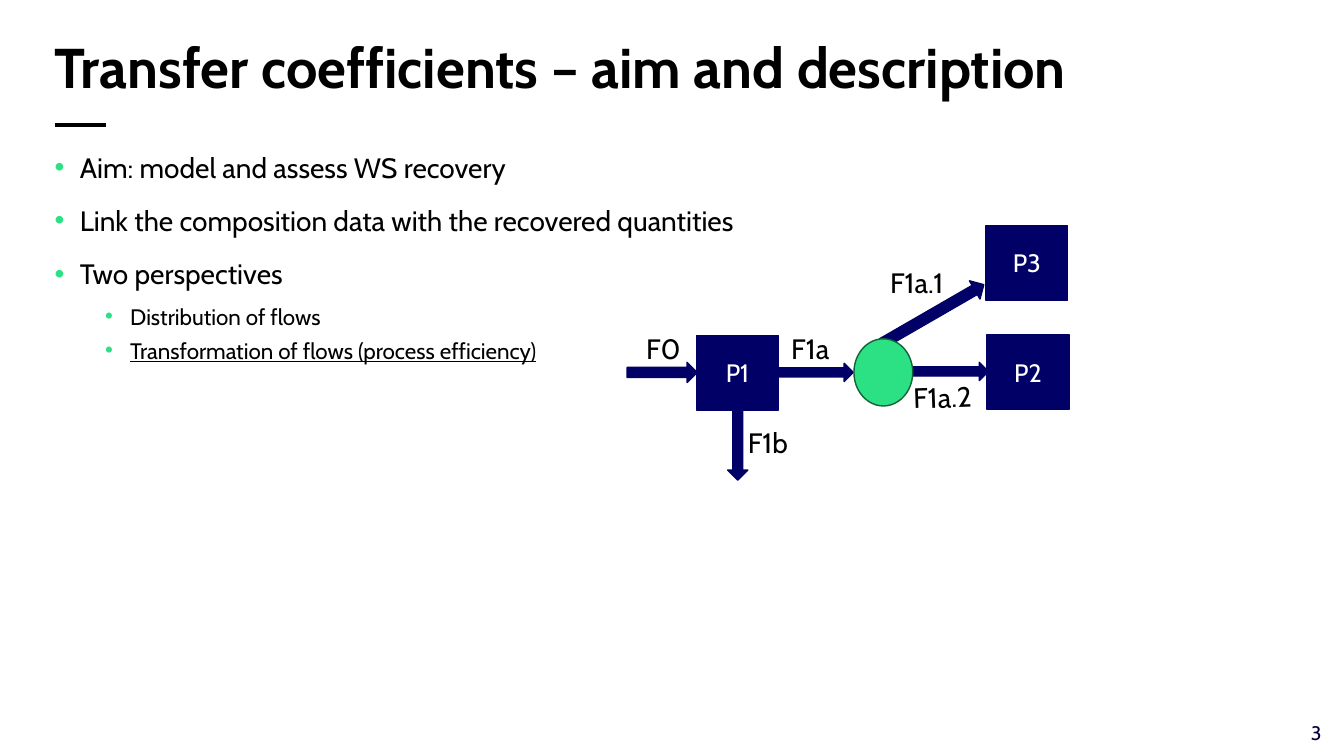
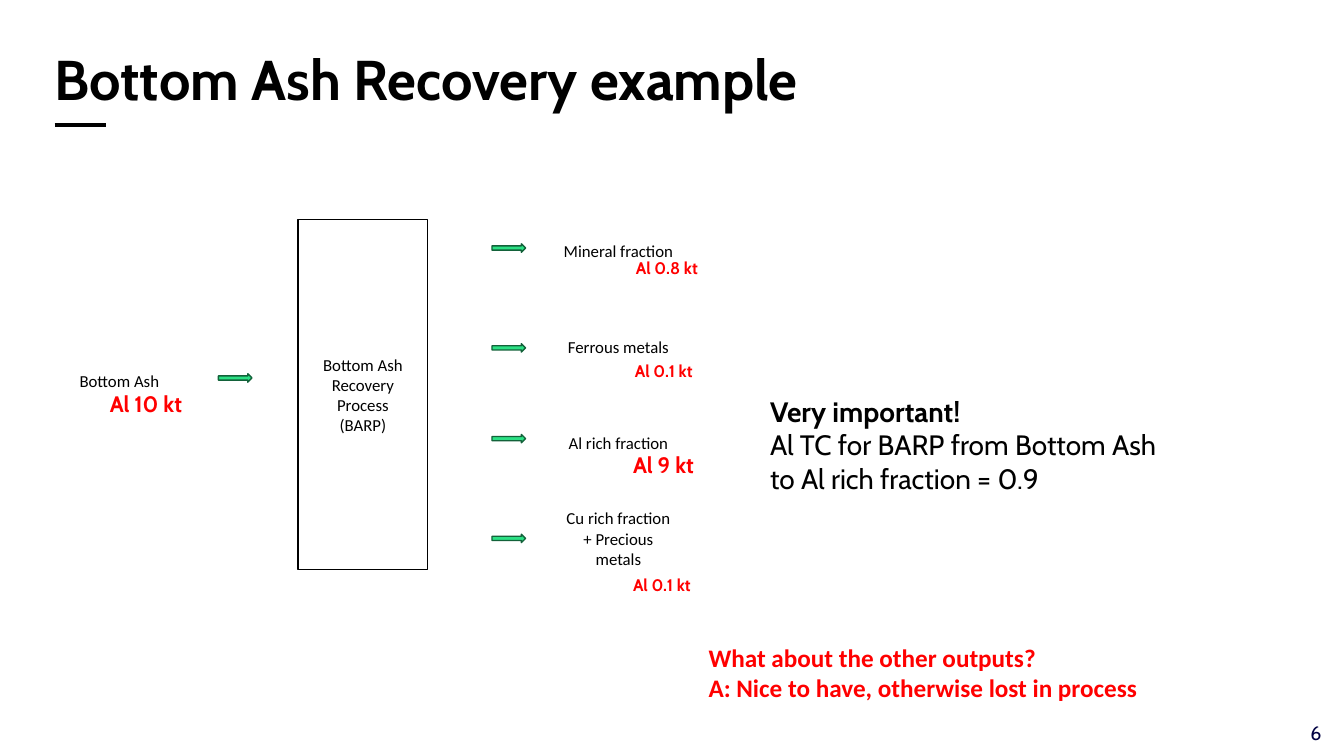
from dataclasses import dataclass

from lxml.etree import SubElement
from pptx import Presentation
from pptx.dml.color import RGBColor as Rgb
from pptx.enum.shapes import MSO_CONNECTOR as Link, MSO_SHAPE as Form
from pptx.enum.text import MSO_ANCHOR as Anchor, MSO_AUTO_SIZE as Fit, PP_ALIGN as Align
from pptx.oxml.ns import qn
from pptx.util import Pt


@dataclass(frozen=True)
class Theme:
    black: str = "000000"
    white: str = "FFFFFF"
    navy: str = "000066"
    ink: str = "000042"
    green: str = "2CE084"
    moss: str = "13623A"
    red: str = "FF0000"
    main: str = "Cabin"
    plain: str = "Calibri"
    head: int = 40
    text: int = 20
    node: int = 18
    sub: int = 16
    page: int = 14
    small: int = 12
    left: float = 39


T = Theme()
FLUSH = dict.fromkeys(("margin_left", "margin_top", "margin_right", "margin_bottom"), 0)
MID = {"vertical_anchor": Anchor.MIDDLE}


def apply(item, form):
    for name, value in form.items():
        setattr(item, name, value)


def place(item, box):
    apply(item, dict(zip(("left", "top", "width", "height"), map(Pt, box))))


def face(size, color=T.black, name=T.main, **more):
    return {"size": Pt(size), "name": name, "color": color, **more}


def write(frame, lines, form, **para):
    """Fill a text frame, one paragraph per line, and return the paragraphs."""
    font = dict(form)
    color = Rgb.from_string(font.pop("color"))
    for i, line in enumerate(lines):
        par = frame.add_paragraph() if i else frame.paragraphs[0]
        apply(par, para)
        run = par.add_run()
        run.text = line
        apply(run.font, font)
        run.font.color.rgb = color
    return frame.paragraphs


def paint(slide, kind, box, fill, line=None):
    shape = slide.shapes.add_shape(kind, *map(Pt, box))
    shape.shadow.inherit = False
    shape.fill.solid()
    shape.fill.fore_color.rgb = Rgb.from_string(fill)
    if line:
        shape.line.color.rgb = Rgb.from_string(line)
        shape.line.width = Pt(1)
    else:
        shape.line.fill.background()
    return shape


def block(slide, box, lines, form, fill=T.white, line=None):
    shape = paint(slide, Form.RECTANGLE, box, fill, line)
    apply(shape.text_frame, {"word_wrap": True, **MID})
    write(shape.text_frame, lines, form, alignment=Align.CENTER)


def label(slide, box, lines, form, turn=0, frame=FLUSH | MID, **para):
    note = slide.shapes.add_textbox(*map(Pt, box))
    note.rotation = turn
    apply(note.text_frame, {"word_wrap": False, **frame})
    return write(note.text_frame, lines, form, **para)


def arrow(slide, mid, long, wide, turn):
    """Draw a block arrow about its centre; no turn points it down."""
    x, y = mid
    box = (x - wide / 2, y - long / 2, wide, long)
    paint(slide, Form.DOWN_ARROW, box, T.navy, T.navy).rotation = turn


def start(deck, layout, title, box, page):
    """Add a slide with its title, short rule and page number."""
    slide = deck.slides.add_slide(deck.slide_layouts[layout])
    head = slide.shapes.title
    place(head, box)
    apply(head.text_frame, {"word_wrap": True, "auto_size": Fit.NONE, **FLUSH, **MID})
    write(head.text_frame, [title], face(T.head, bold=True),
          alignment=Align.LEFT, line_spacing=0.9)
    ends = (T.left, 89.3, T.left + 37, 89.3)
    rule = slide.shapes.add_connector(Link.STRAIGHT, *map(Pt, ends))
    rule.line.color.rgb = Rgb.from_string(T.black)
    rule.line.width = Pt(3)
    SubElement(rule._element.spPr, qn("a:effectLst"))
    label(slide, (903, 515, 41, 17), [page], face(T.page, T.ink), alignment=Align.RIGHT)
    return slide


def bullet(par, indent):
    prop = par._p.get_or_add_pPr()
    prop.set("marL", str(Pt(indent)))
    prop.set("indent", str(Pt(-18)))
    tint = SubElement(prop, qn("a:buClr"))
    SubElement(tint, qn("a:srgbClr"), val=T.green)
    SubElement(prop, qn("a:buFont"), typeface="Arial")
    SubElement(prop, qn("a:buChar"), char="•")


def points(frame, items):
    """Write (level, text, underline) items as a bulleted list."""
    sizes, befores, afters = (T.text, T.sub), (10, 5), (4, 0)
    apply(frame, {"word_wrap": True, "auto_size": Fit.NONE, **FLUSH})
    pars = write(frame, [text for _, text, _ in items], face(T.text))
    for i, (par, (level, _, under)) in enumerate(zip(pars, items)):
        apply(par, {"level": level, "space_before": Pt(befores[level] if i else 0),
                    "space_after": Pt(afters[level])})
        bullet(par, 18 + 36 * level)
        apply(par.runs[0].font, {"size": Pt(sizes[level]), "underline": under})


def aims(deck):
    slide = start(deck, 1, "Transfer coefficients – aim and description",
                  (T.left, 10, 768, 80), "3")
    body = slide.placeholders[1]
    place(body, (T.left, 107.3, 768, 401))
    points(body.text_frame, [
        (0, "Aim: model and assess WS recovery", False),
        (0, "Link the composition data with the recovered quantities", False),
        (0, "Two perspectives", False),
        (1, "Distribution of flows", False),
        (1, "Transformation of flows (process efficiency)", True),
    ])
    size = (58.5, 53.5)
    for name, x, y in (("P1", 497.5, 239.5), ("P2", 705, 239), ("P3", 704.2, 161)):
        block(slide, (x, y, *size), [name], face(T.node, T.white), T.navy, T.navy)
    for mid, long, wide, turn in (
        ((582.5, 266), 54, 13, 270),
        ((527, 318), 50, 14.4, 0),
        ((473, 266), 50, 14.4, 270),
        ((666.4, 224.3), 84, 15, 240),
        ((679, 265.3), 54, 13, 270),
    ):
        arrow(slide, mid, long, wide, turn)
    paint(slide, Form.OVAL, (610, 242, 42, 48), T.green, T.moss)
    for name, x, y, turn in (
        ("F0", 461.5, 222, 0),
        ("F1a", 565.2, 222, 0),
        ("F1b", 534.2, 289.5, 0),
        ("F1a.1", 635.8, 175, 0),
        ("F1a.2", 652.3, 256.3, 358),
    ):
        label(slide, (x, y, *size), [name], face(T.text), turn)


def ash(deck):
    slide = start(deck, 5, "Bottom Ash Recovery example",
                  (T.left, 37, 623.5, 44), "6")
    wide, high, top, step = 92.5, 44.6, 157, 68.4
    small = face(T.small, name=T.plain)

    def flow(x, y, name, tip, sum, at, size):
        """Place a stream name, its arrow and its amount of aluminium."""
        paint(slide, Form.RIGHT_ARROW, (*tip, 24, 6), T.green, T.moss)
        block(slide, (x, y, wide, high), [name], small)
        label(slide, (*at, 72, 72), [sum], face(size, T.red, bold=True))

    flow(T.left, 250, "Bottom Ash", (156, 267), "Al 10 kt", (78.5, 252), T.sub)
    for i, (name, tip, sum, x, y, size) in enumerate((
        ("Mineral fraction", 174.2, "Al 0.8 kt", 454.3, 155.5, T.small),
        ("Ferrous metals", 245.5, "Al 0.1 kt", 453.6, 229, T.small),
        ("Al rich fraction", 310.3, "Al 9 kt", 452.2, 296, T.sub),
        ("Cu rich fraction + Precious metals", 381.6, "Al 0.1 kt", 452.2, 381.6, T.small),
    )):
        flow(395.5, top + i * step, name, (351.4, tip), sum, (x, y), size)
    block(slide, (213, top, wide, 3 * step + high),
          ["Bottom Ash Recovery Process", "(BARP)"], small, line=T.black)
    pars = label(slide, (550, 281.5, 300, 72),
                 ["Very important!", "Al TC for BARP from Bottom Ash",
                  "to Al rich fraction = 0.9"], face(T.text), alignment=Align.LEFT)
    pars[0].runs[0].font.bold = True
    label(slide, (499, 455, 323, 84),
          ["What about the other outputs?", "A: Nice to have, otherwise lost in process"],
          face(T.node, T.red, T.plain, bold=True), frame={})


def main():
    deck = Presentation()
    apply(deck, {"slide_width": Pt(960), "slide_height": Pt(540)})
    aims(deck)
    ash(deck)
    deck.save("out.pptx")


if __name__ == "__main__":
    main()
